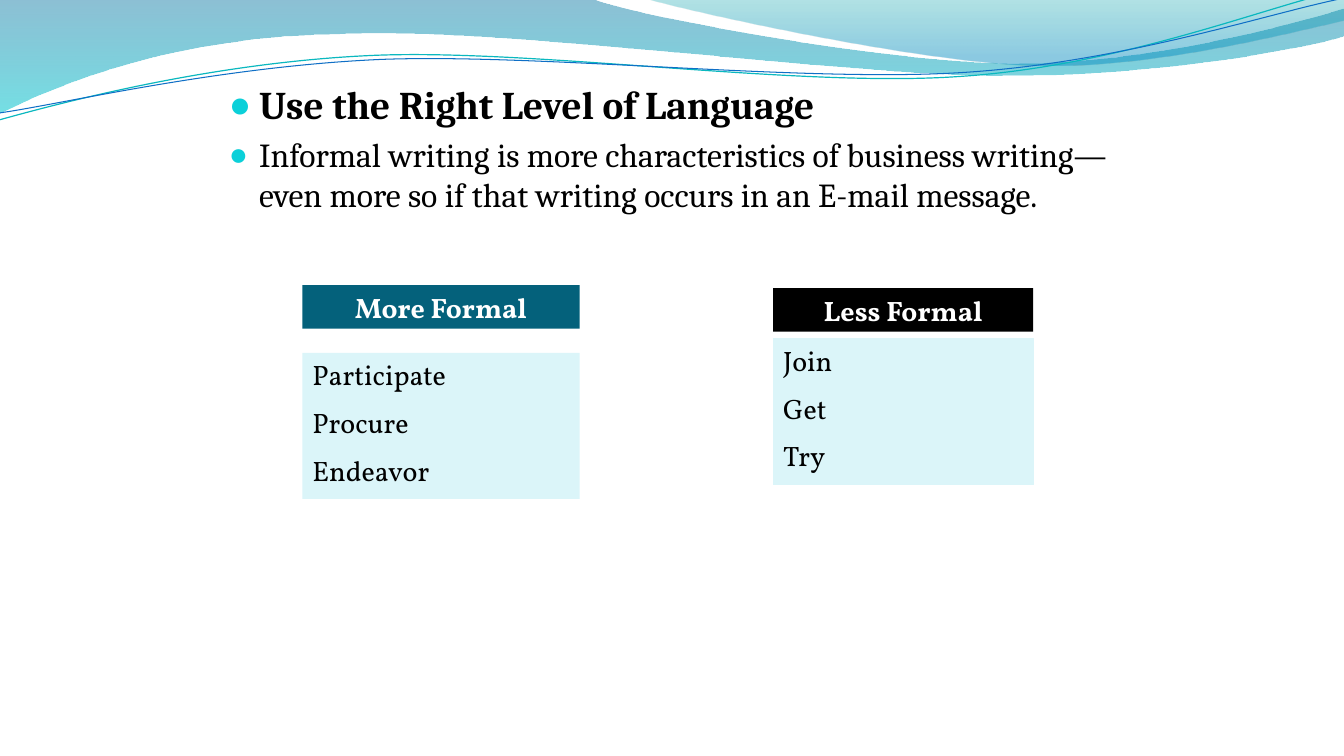
from lxml import etree
from pptx import Presentation
from pptx import util as u
from pptx.dml.color import RGBColor
from pptx.enum import shapes, text
from pptx.oxml.ns import qn

BLACK = RGBColor(0x00, 0x00, 0x00)
WHITE = RGBColor(0xFF, 0xFF, 0xFF)
DEEP_TEAL = RGBColor(0x04, 0x61, 0x7B)
PALE_CYAN = RGBColor(0xDB, 0xF5, 0xF9)
BULLET_CYAN = RGBColor(0x0B, 0xD0, 0xD9)
WAVE_BLUE = RGBColor(0x00, 0x74, 0xA1)
WAVE_CYAN = RGBColor(0x00, 0xC6, 0xCF)
CREST_TEAL = RGBColor(0x00, 0xA1, 0xA9)
CREST_BLUE = RGBColor(0x00, 0x8B, 0xBF)
LINE_TEAL = RGBColor(0x0A, 0xB8, 0xBF)
LINE_BLUE = RGBColor(0x0F, 0x6F, 0xC6)

# Each outline is a start point, then line ends (x, y) or Bezier segments
# (x1, y1, x2, y2, x, y), in inches from the top left of the band.
WAVE = [(0, 0), (5.87, -0.01),
        (6.34, 0.17, 8.85, 0.63, 10.11, 0.63),
        (11.38, 0.63, 12.78, 0.26, 13.33, 0.09), (13.35, 0.36),
        (13.11, 0.44, 11.6, 0.76, 9.94, 0.75),
        (8.29, 0.75, 5.09, 0.28, 3.43, 0.34),
        (1.72, 0.36, 0.61, 0.83, -0.01, 1.13), (0, 0)]
CREST = [(6.39, -0.01),
         (6.79, 0.11, 9.09, 0.62, 10.25, 0.65),
         (11.41, 0.69, 12.82, 0.32, 13.33, 0.21), (13.33, 0), (6.39, -0.01)]
TEAL_LINE = [(-0.01, 1.19),
             (0.64, 1.01, 2.11, 0.62, 3.69, 0.55),
             (5.27, 0.48, 7.9, 0.87, 9.5, 0.76),
             (11.1, 0.66, 12.52, 0.08, 13.31, -0.1)]
BLUE_LINE = [(0, 1.12),
             (0.63, 1.03, 2.18, 0.66, 3.78, 0.59),
             (5.37, 0.53, 7.96, 0.82, 9.55, 0.72),
             (11.15, 0.62, 12.55, 0.14, 13.34, -0.02)]


def add_outline(slide, left, top, outline, closed):
    points = [(u.Inches(left + x), u.Inches(top + y))
              for segment in outline for x, y in zip(segment[::2], segment[1::2])]
    builder = slide.shapes.build_freeform(*points[0], scale=1.0)
    builder.add_line_segments(points[1:], close=closed)
    shape = builder.convert_to_shape()
    shape.shadow.inherit = False

    # Join the three points of each Bezier segment into one curve
    steps = iter(list(shape.element.spPr.iter(qn("a:lnTo"))))
    for segment in outline[1:]:
        first = next(steps)
        if len(segment) == 6:
            curve = etree.Element(qn("a:cubicBezTo"))
            first.addprevious(curve)
            for step in (first, next(steps), next(steps)):
                curve.append(step[0])
                step.getparent().remove(step)
    return shape


def wave_band(slide, left, top):
    # Translucent waves: (position, colour, opacity in percent)
    for outline, stops in (
            (WAVE, [(0, WAVE_BLUE, 45), (1, WAVE_CYAN, 55)]),
            (CREST, [(0, CREST_TEAL, 30), (0.8, CREST_BLUE, 45)])):
        wave = add_outline(slide, left, top, outline, True)
        wave.line.fill.background()
        wave.fill.gradient()
        wave.fill.gradient_angle = 270
        for stop, (position, color, _) in zip(wave.fill.gradient_stops, stops):
            stop.position = position
            stop.color.rgb = color
        for rgb, (_, _, opacity) in zip(wave.element.spPr.iter(qn("a:srgbClr")), stops):
            etree.SubElement(rgb, qn("a:alpha"), val=str(opacity * 1000))

    # Thin lines that follow the waves
    for outline, color, weight in ((TEAL_LINE, LINE_TEAL, 0.85),
                                   (BLUE_LINE, LINE_BLUE, 0.75)):
        ripple = add_outline(slide, left, top, outline, False)
        ripple.fill.background()
        ripple.line.color.rgb = color
        ripple.line.width = u.Pt(weight)


def write(paragraph, words, *, size, font, color=BLACK, bold=False,
          align=text.PP_ALIGN.LEFT, before=0):
    paragraph.alignment = align
    paragraph.space_before = u.Pt(before)
    run = paragraph.add_run()
    run.text = words
    run.font.size = u.Pt(size)
    run.font.name = font
    run.font.bold = bold
    run.font.color.rgb = color


def add_bullet(paragraph):
    props = paragraph._p.get_or_add_pPr()
    props.set("marL", str(u.Inches(0.3)))
    props.set("indent", str(-u.Inches(0.3)))
    color = etree.SubElement(props, qn("a:buClr"))
    etree.SubElement(color, qn("a:srgbClr"), val=str(BULLET_CYAN))
    etree.SubElement(props, qn("a:buSzPct"), val="95000")
    etree.SubElement(props, qn("a:buChar"), char="●")


def advice(slide, left, top, width, height):
    body = slide.placeholders[1]
    body.left, body.top = u.Inches(left), u.Inches(top)
    body.width, body.height = u.Inches(width), u.Inches(height)
    # Keep the text in front of the waves
    body.element.getparent().append(body.element)
    frame = body.text_frame
    frame.auto_size = text.MSO_AUTO_SIZE.NONE
    frame.vertical_anchor = text.MSO_ANCHOR.TOP
    points = (
        ("Use the Right Level of Language", 28, True),
        ("Informal writing is more characteristics of business writing—"
         "even more so if that writing occurs in an E-mail message.", 24, False))
    for index, (words, size, bold) in enumerate(points):
        paragraph = frame.add_paragraph() if index else frame.paragraphs[0]
        write(paragraph, words, size=size, font="Cambria", bold=bold, before=4.4)
        add_bullet(paragraph)


def add_box(slide, left, top, width, height, fill, lines, **style):
    box = slide.shapes.add_shape(shapes.MSO_SHAPE.RECTANGLE, u.Inches(left),
                                 u.Inches(top), u.Inches(width), u.Inches(height))
    box.shadow.inherit = False
    box.fill.solid()
    box.fill.fore_color.rgb = fill
    box.line.fill.background()
    frame = box.text_frame
    frame.word_wrap = True
    frame.auto_size = text.MSO_AUTO_SIZE.SHAPE_TO_FIT_TEXT
    frame.vertical_anchor = text.MSO_ANCHOR.TOP
    for index, words in enumerate(lines):
        paragraph = frame.add_paragraph() if index else frame.paragraphs[0]
        write(paragraph, words, size=20, font="Vollkorn", before=10, **style)
    return box


def word_column(slide, left, top, width, list_offset, heading, heading_fill, words):
    add_box(slide, left, top, width, 0.43, heading_fill, [heading],
            color=WHITE, bold=True, align=text.PP_ALIGN.CENTER)
    return add_box(slide, left, top + list_offset, width, 1.45, PALE_CYAN, words)


def main():
    deck = Presentation()
    deck.slide_width, deck.slide_height = u.Inches(40 / 3), u.Inches(7.5)
    slide = deck.slides.add_slide(deck.slide_layouts[1])
    title = slide.shapes.title.element
    title.getparent().remove(title)

    wave_band(slide, 0, 0)
    advice(slide, 2.17, 0.75, 9, 6.17)
    word_column(slide, 3, 2.83, 2.75, 0.67, "More Formal", DEEP_TEAL,
                ["Participate", "Procure", "Endeavor"])
    less_formal = word_column(slide, 7.67, 2.86, 2.58, 0.5, "Less Formal", BLACK,
                              ["Join", "Get", "Try"])
    less_formal.line.color.rgb = PALE_CYAN
    less_formal.line.width = u.Pt(0.75)

    deck.save("out.pptx")


if __name__ == "__main__":
    main()
